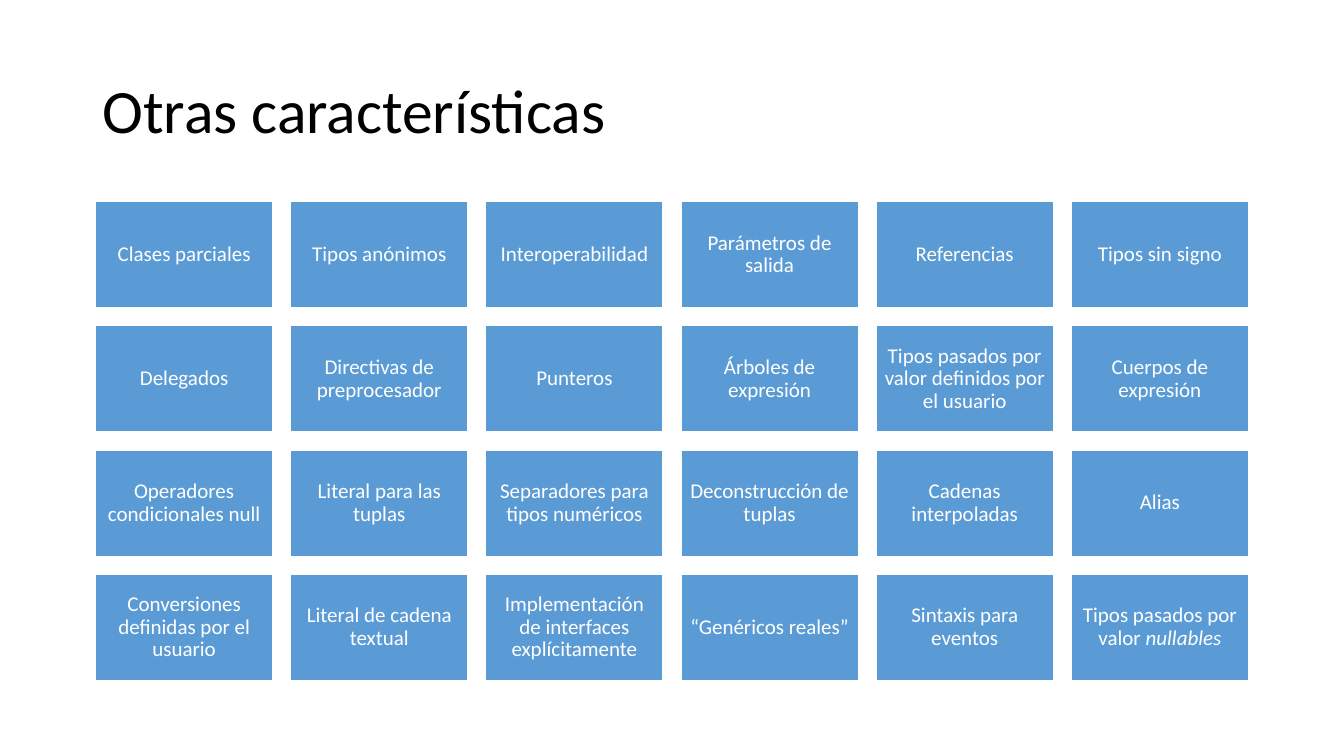
import pptx
import pptx.dml.color
import pptx.enum.shapes
import pptx.enum.text
import pptx.util

Pt = pptx.util.Pt
ALIGN = pptx.enum.text.PP_ALIGN
COLORS = {"text": "000000", "tile": "5B9BD5", "white": "FFFFFF"}
FEATURES = [
    ["Clases parciales", "Tipos anónimos", "Interoperabilidad",
     "Parámetros de salida", "Referencias", "Tipos sin signo"],
    ["Delegados", "Directivas de preprocesador", "Punteros",
     "Árboles de expresión", "Tipos pasados por valor definidos por el usuario",
     "Cuerpos de expresión"],
    ["Operadores condicionales null", "Literal para las tuplas",
     "Separadores para tipos numéricos", "Deconstrucción de tuplas",
     "Cadenas interpoladas", "Alias"],
    ["Conversiones definidas por el usuario", "Literal de cadena textual",
     "Implementación de interfaces explícitamente", "“Genéricos reales”",
     "Sintaxis para eventos", ("Tipos pasados por valor ", "nullables")],
]


def rgb(name):
    """Return the named colour."""
    return pptx.dml.color.RGBColor.from_string(COLORS[name])


def write(tf, text, italic="", size=15, color="white", align=ALIGN.CENTER, after=0):
    """Fill a text frame with one paragraph, with an optional italic ending."""
    tf.word_wrap = True
    tf.auto_size = pptx.enum.text.MSO_AUTO_SIZE.NONE
    tf.vertical_anchor = pptx.enum.text.MSO_ANCHOR.MIDDLE
    p = tf.paragraphs[0]
    p.alignment, p.line_spacing, p.space_after = align, 0.9, Pt(after)
    for part, slanted in ((text, False), (italic, True)):
        if part:
            r = p.add_run()
            r.text = part
            r.font.name, r.font.size, r.font.italic = "Calibri", Pt(size), slanted
            r.font.color.rgb = rgb(color)


def add_title(s, text, x, y, w, h):
    """Place the slide title in the given box."""
    sp = s.shapes.title
    sp.left, sp.top, sp.width, sp.height = Pt(x), Pt(y), Pt(w), Pt(h)
    write(sp.text_frame, text, size=44, color="text", align=ALIGN.LEFT)


def add_tile(s, label, x, y, w, h):
    """Draw one feature tile with its label."""
    sp = s.shapes.add_shape(
        pptx.enum.shapes.MSO_SHAPE.RECTANGLE, Pt(x), Pt(y), Pt(w), Pt(h))
    sp.shadow.inherit = False
    sp.fill.solid()
    sp.fill.fore_color.rgb = rgb("tile")
    sp.line.color.rgb = rgb("white")
    sp.line.width = Pt(1)
    tf = sp.text_frame
    tf.margin_left = tf.margin_right = tf.margin_top = tf.margin_bottom = Pt(4.5)
    parts = (label,) if isinstance(label, str) else label
    write(tf, *parts, after=5.25)


def add_tile_grid(s, rows, x, y, w):
    """Fit rows of tiles to a width, with gaps of a tenth of a tile."""
    cols = len(rows[0])
    tile_w = w / (cols + 0.1 * (cols - 1))
    tile_h, gap = 0.6 * tile_w, 0.1 * tile_w
    for i, row in enumerate(rows):
        for j, label in enumerate(row):
            add_tile(s, label, x + j * (tile_w + gap), y + i * (tile_h + gap),
                     tile_w, tile_h)


def main():
    """Build and save the slide."""
    prs = pptx.Presentation()
    prs.slide_width, prs.slide_height = Pt(960), Pt(540)
    s = prs.slides.add_slide(prs.slide_layouts.get_by_name("Title Only"))
    add_title(s, "Otras características", 66, 28.75, 828, 104.4)
    add_tile_grid(s, FEATURES, 68.15, 144, 823.7)
    prs.save("out.pptx")


main()
